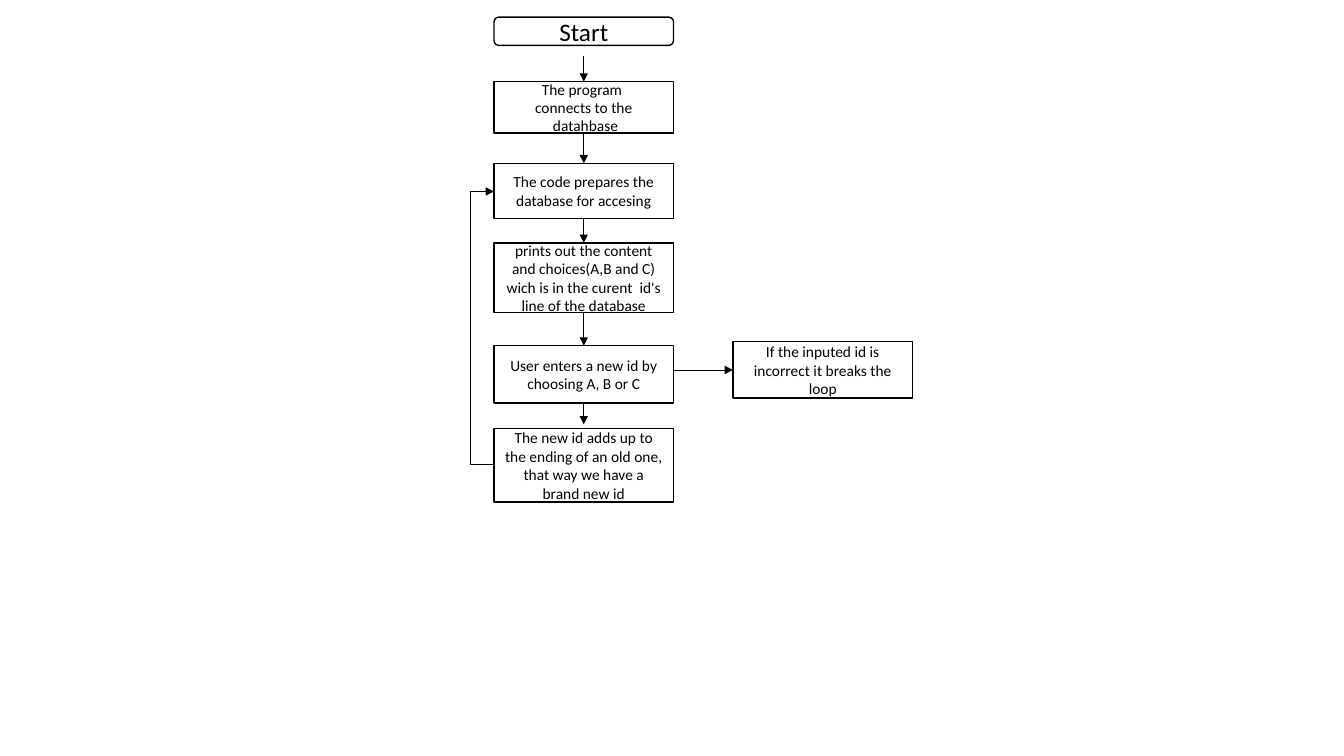
"""Builds a one-slide flowchart of a program that walks through a database."""
from dataclasses import dataclass

from lxml.etree import SubElement
from pptx import Presentation
from pptx.dml.color import RGBColor
from pptx.enum.shapes import MSO_CONNECTOR, MSO_SHAPE
from pptx.enum.text import MSO_ANCHOR, PP_ALIGN
from pptx.oxml.ns import qn
from pptx.util import Pt

PX = 9144


@dataclass(frozen=True)
class Theme:
    ink: RGBColor = RGBColor(0, 0, 0)
    paper: RGBColor = RGBColor(255, 255, 255)
    font: str = "Calibri"
    start_size: int = 18
    step_size: int = 11
    border: float = 1
    arrow: float = 0.5


THEME = Theme()
BOX_WIDTH = 178
MAIN_LEFT = 490
SIDE_LEFT = 727
MAIN_CENTER = MAIN_LEFT + BOX_WIDTH // 2
MAIN_RIGHT = MAIN_LEFT + BOX_WIDTH
LOOP_OFFSET = 25
TOP, BOTTOM, RIGHT, LEFT = 0, 2, 3, 1


def add_box(page, left, top, height, text, size, kind=MSO_SHAPE.RECTANGLE):
    """Add an outlined box with centred text."""
    box = page.shapes.add_shape(kind, left * PX, top * PX, BOX_WIDTH * PX, height * PX)
    box.shadow.inherit = False
    box.fill.solid()
    box.fill.fore_color.rgb = THEME.paper
    box.line.color.rgb = THEME.ink
    box.line.width = Pt(THEME.border)
    frame = box.text_frame
    frame.word_wrap = True
    frame.vertical_anchor = MSO_ANCHOR.MIDDLE
    frame.text = text
    for para in frame.paragraphs:
        para.alignment = PP_ALIGN.CENTER
        para.font.size = Pt(size)
        for span in para.runs:
            span.font.name = THEME.font
            span.font.size = Pt(size)
            span.font.color.rgb = THEME.ink
    return box


def add_arrow(page, begin, end, kind=MSO_CONNECTOR.STRAIGHT):
    """Add a thin connector with a triangular head at its end."""
    arrow = page.shapes.add_connector(kind, *(value * PX for value in begin + end))
    arrow.line.color.rgb = THEME.ink
    arrow.line.width = Pt(THEME.arrow)
    SubElement(arrow.line._get_or_add_ln(), qn("a:tailEnd"), type="triangle")
    SubElement(arrow._element.spPr, qn("a:effectLst"))
    return arrow


deck = Presentation()
deck.slide_width = 1333 * PX
deck.slide_height = 750 * PX
page = deck.slides.add_slide(deck.slide_layouts[6])

add_box(page, MAIN_LEFT, 17, 28, "Start", THEME.start_size, MSO_SHAPE.ROUNDED_RECTANGLE)

STEPS = [
    ("connect", 81, 51, "The program \vconnects to the\v datahbase"),
    ("prepare", 162, 55, "The code prepares the database for accesing"),
    ("print", 241, 69, "prints out the content and choices(A,B and C) wich is in the curent  id's line of the database"),
    ("choose", 343, 57, "User enters a new id by choosing A, B or C"),
    ("extend", 425, 73, "The new id adds up to the ending of an old one, that way we have a brand new id"),
]
boxes = {
    name: add_box(page, MAIN_LEFT, top, height, text, THEME.step_size)
    for name, top, height, text in STEPS
}
boxes["break"] = add_box(
    page, SIDE_LEFT, 339, 56, "If the inputed id is incorrect it breaks the loop", THEME.step_size
)

DOWN_ARROWS = [
    (56, 81, None, "connect"),
    (132, 162, "connect", "prepare"),
    (217, 241, "prepare", "print"),
    (310, 343, "print", "choose"),
    (400, 421, "choose", None),
]
for begin_y, end_y, source, target in DOWN_ARROWS:
    arrow = add_arrow(page, (MAIN_CENTER, begin_y), (MAIN_CENTER, end_y))
    if source:
        arrow.begin_connect(boxes[source], BOTTOM)
    if target:
        arrow.end_connect(boxes[target], TOP)

break_arrow = add_arrow(page, (MAIN_RIGHT, 367), (SIDE_LEFT, 367))
break_arrow.end_connect(boxes["break"], LEFT)

loop_arrow = add_arrow(page, (MAIN_LEFT + 1, 461), (MAIN_LEFT, 190), MSO_CONNECTOR.ELBOW)
bend = SubElement(loop_arrow._element.spPr.find(qn("a:prstGeom")).find(qn("a:avLst")), qn("a:gd"))
bend.set("name", "adj1")
bend.set("fmla", f"val {LOOP_OFFSET * 100000}")

deck.save("out.pptx")
